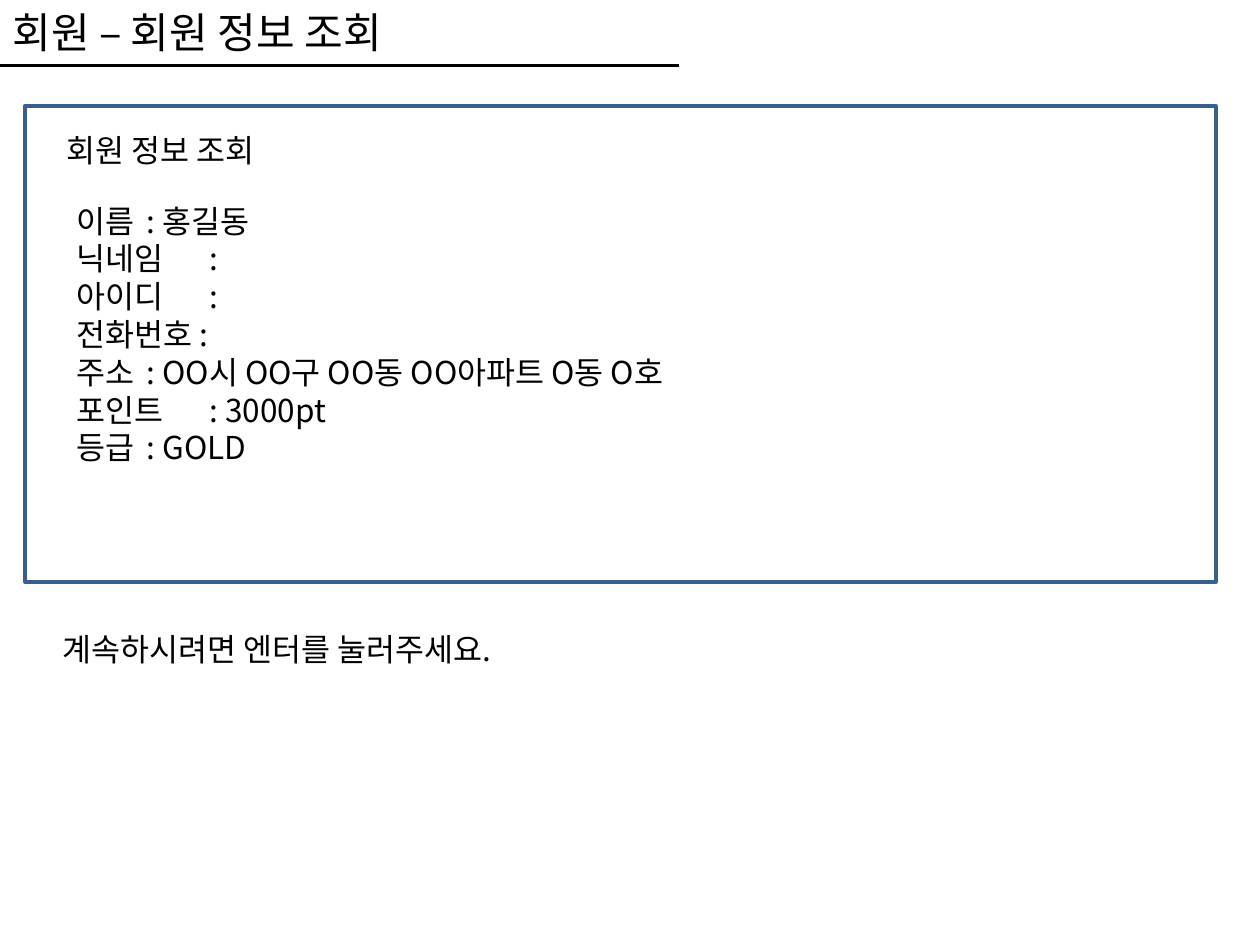
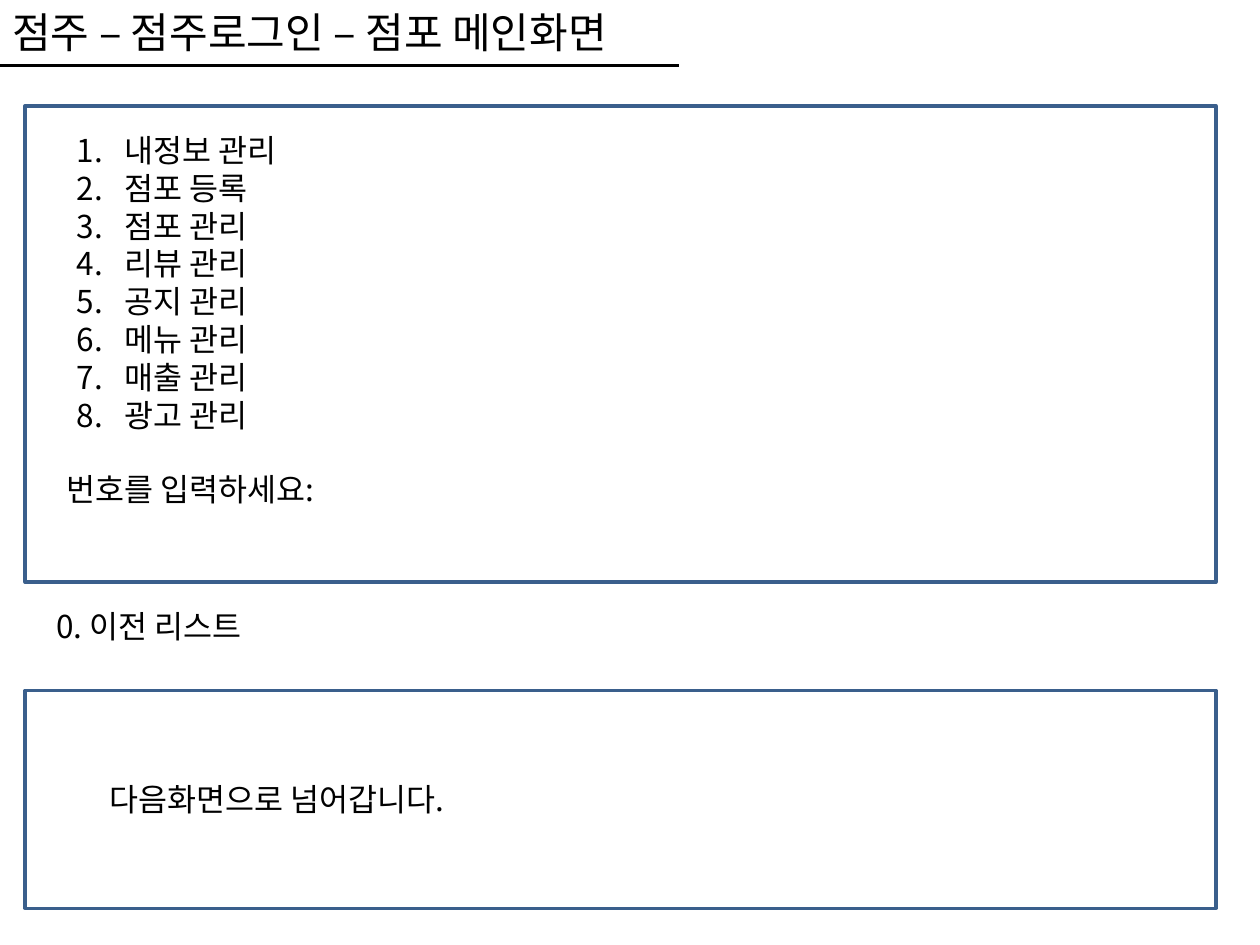
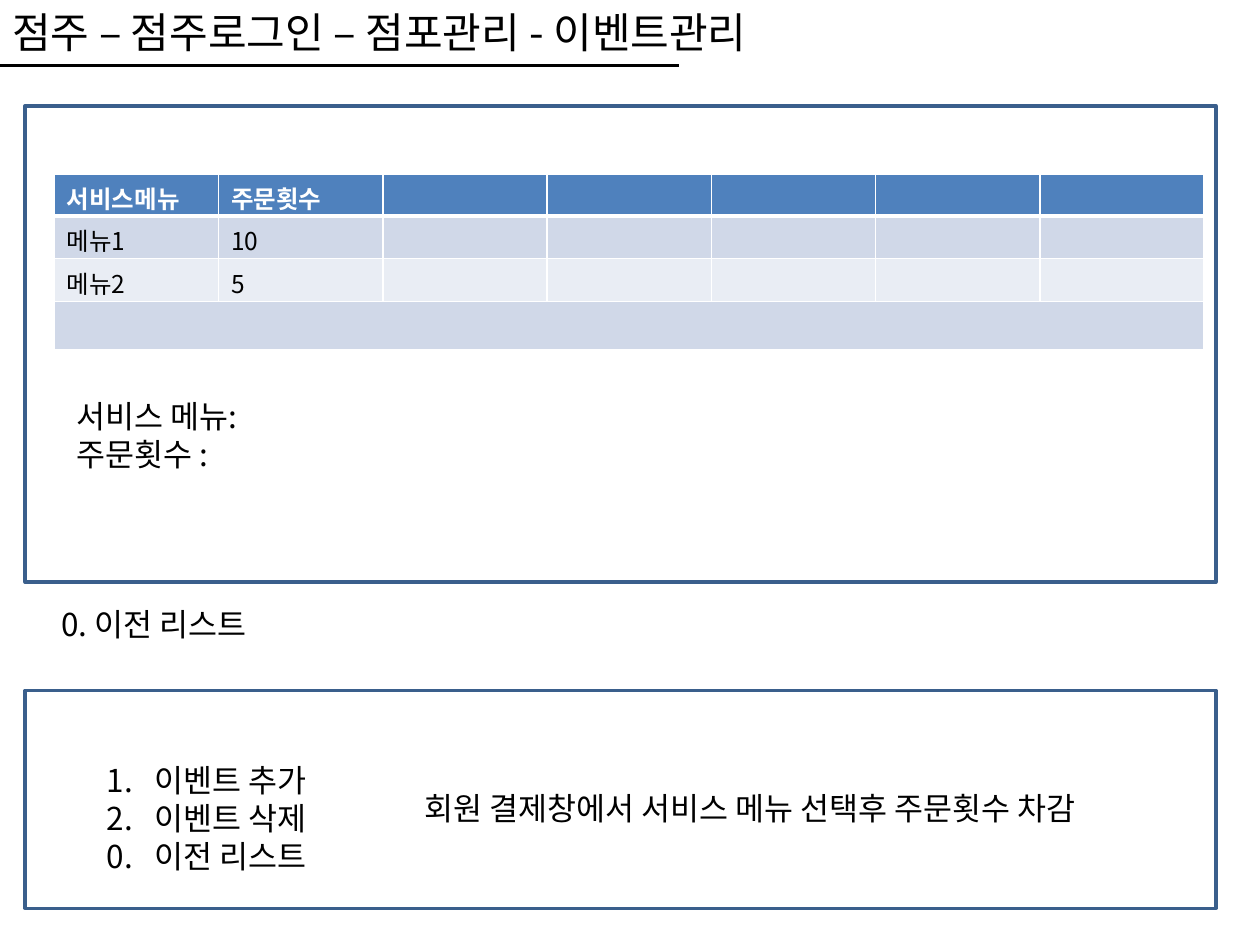
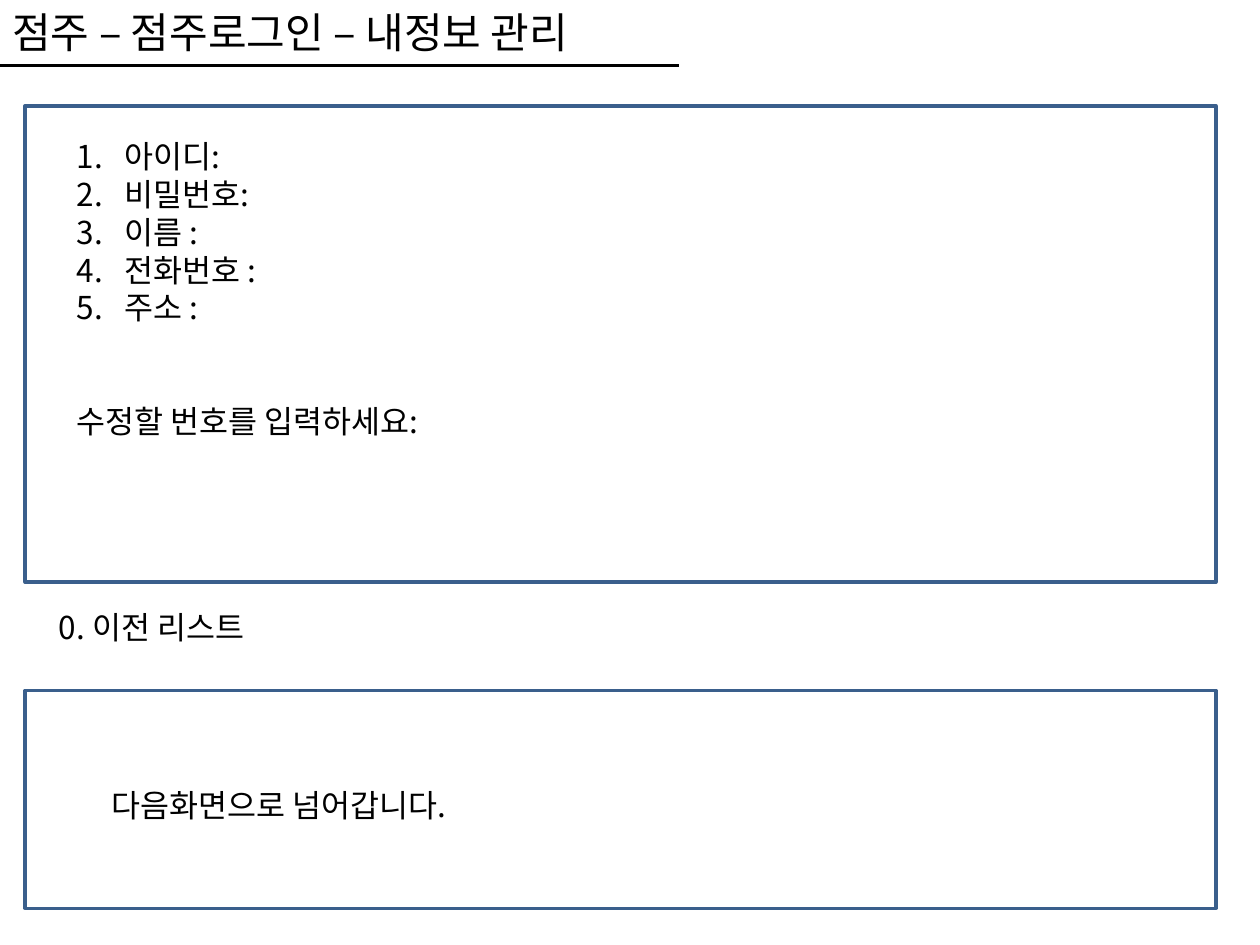
"""Build four console-screen slides for a member and shop-owner ordering service."""
from dataclasses import dataclass

from lxml.etree import SubElement
from pptx import Presentation
from pptx.dml.color import RGBColor as Rgb
from pptx.enum.shapes import MSO_CONNECTOR as Connector, MSO_SHAPE as Shape
from pptx.enum.text import MSO_AUTO_SIZE as AutoSize
from pptx.oxml.ns import qn
from pptx.util import Emu, Inches, Pt


@dataclass(frozen=True)
class Theme:
    font: str = "Noto Sans CJK KR"
    ink: str = "000000"
    paper: str = "FFFFFF"
    frame: str = "3A5F8C"
    header: str = "4F81BD"
    bands: tuple = ("D0D8E8", "E9EDF4")
    title: int = 24
    body: int = 18
    cell: int = 14
    frame_line: float = 2
    rule_line: float = 1.75
    grid_line: float = 1
    header_line: float = 3


THEME = Theme()
WIDTH, HEIGHT = Inches(10), Inches(7.5)
COLUMNS, ROWS = 100, 75
SCREEN = (2, 8.4, 94.5, 37.8)
ACTIONS = (2, 54.8, 94.5, 17.3)
RULE = (0, 5.2, 53.9, 5.2)
HANG = 3.8
QUESTION_GAP = 43.2
BACK = ["0. 이전 리스트"]
NEXT = ["다음화면으로 넘어갑니다."]


def numbered(*labels):
    return [("number", label) for label in labels]


SLIDES = [
    {
        "title": ("회원 – 회원 정보 조회", 79.9),
        "frames": [SCREEN],
        "texts": [
            ((4.3, 9.9, 37.8, 4), ["회원 정보 조회"]),
            ((5.1, 15.5, 75.6, 22.2), [
                "이름\t : 홍길동",
                "닉네임\t :",
                "아이디\t :",
                "전화번호 :",
                "주소\t : OO시 OO구 OO동 OO아파트 O동 O호",
                "포인트\t : 3000pt",
                "등급\t : GOLD",
            ]),
            ((4, 49.5, 39.7, 4), ["계속하시려면 엔터를 눌러주세요."]),
        ],
    },
    {
        "title": ("점주 – 점주로그인 – 점포 메인화면", 58.7),
        "frames": [SCREEN, ACTIONS],
        "texts": [
            ((5.1, 9.9, 37.8, 25.3), numbered(
                "내정보 관리", "점포 등록", "점포 관리", "리뷰 관리",
                "공지 관리", "메뉴 관리", "매출 관리", "광고 관리")),
            ((3.5, 47.7, 43.3, 4), BACK),
            ((7.7, 61.4, 43.3, 4), NEXT),
            ((4.3, 36.8, 48, 4), ["번호를 입력하세요:"]),
        ],
    },
    {
        "title": ("점주 – 점주로그인 – 점포관리 - 이벤트관리", 69.7),
        "frames": [SCREEN, ACTIONS],
        "texts": [
            ((3.9, 47.5, 43.3, 4), BACK),
            ((7.5, 59.9, 43.3, 10.1),
             numbered("이벤트 추가", "이벤트 삭제") + [("hang", "0.\t이전 리스트")]),
            ((5.1, 31, 44.1, 7.1), ["서비스 메뉴:", "주문횟수 :"]),
            ((32.7, 62.1, 62.2, 4), ["회원 결제창에서 서비스 메뉴 선택후 주문횟수 차감"]),
        ],
        "events": {
            "box": (4.3, 13.8, 91.3, 13.8),
            "columns": 7,
            "heights": (3.2, 3.4, 3.4, 3.8),
            "records": [("서비스메뉴", "주문횟수"), ("메뉴1", "10"), ("메뉴2", "5"), ()],
        },
    },
    {
        "title": ("점주 – 점주로그인 – 내정보 관리", 58.7),
        "frames": [SCREEN, ACTIONS],
        "texts": [
            ((5.1, 10.4, 37.8, 28.3),
             numbered("아이디:", "비밀번호:", "이름 :", "전화번호 :", "주소 :")
             + [("question", "수정할 번호를 입력하세요:")]),
            ((3.7, 47.8, 43.3, 4), BACK),
            ((7.9, 61.9, 43.3, 4), NEXT),
        ],
    },
]


def across(columns):
    return Emu(round(WIDTH * columns / COLUMNS))


def down(rows):
    return Emu(round(HEIGHT * rows / ROWS))


def place(box):
    return across(box[0]), down(box[1]), across(box[2]), down(box[3])


def apply(target, formats):
    for name, value in formats.items():
        setattr(target, name, value)


def paint(fill, color):
    fill.solid()
    fill.fore_color.rgb = Rgb.from_string(color)


def stroke(line, color, points):
    line.width = Pt(points)
    paint(line.fill, color)


def write(paragraph, words, size, color=THEME.ink, bold=False):
    run = paragraph.add_run()
    apply(run, {"text": words})
    apply(run.font, {"name": THEME.font, "size": Pt(size), "bold": bold})
    run.font.color.rgb = Rgb.from_string(color)
    SubElement(run.font._element, qn("a:ea"), typeface=THEME.font)


def style_line(paragraph, style):
    if style == "question":
        paragraph.space_before = Pt(QUESTION_GAP)
    if style in ("number", "hang"):
        props = paragraph._p.get_or_add_pPr()
        props.set("marL", str(across(HANG)))
        props.set("indent", str(-across(HANG)))
        if style == "number":
            SubElement(props, qn("a:buFont"), typeface="+mj-lt")
            SubElement(props, qn("a:buAutoNum"), type="arabicPeriod")


def add_text(slide, box, lines, size=THEME.body):
    frame = slide.shapes.add_textbox(*place(box)).text_frame
    apply(frame, {"word_wrap": True, "auto_size": AutoSize.SHAPE_TO_FIT_TEXT})
    for index, line in enumerate(lines):
        style, words = ("plain", line) if isinstance(line, str) else line
        paragraph = frame.add_paragraph() if index else frame.paragraphs[0]
        style_line(paragraph, style)
        write(paragraph, words, size)


def add_frame(slide, box):
    frame = slide.shapes.add_shape(Shape.RECTANGLE, *place(box))
    frame.shadow.inherit = False
    frame.fill.background()
    stroke(frame.line, THEME.frame, THEME.frame_line)


def add_rule(slide):
    rule = slide.shapes.add_connector(Connector.STRAIGHT, *place(RULE))
    stroke(rule.line, THEME.ink, THEME.rule_line)
    SubElement(rule._element.spPr, qn("a:effectLst"))


def add_borders(cell, row):
    props = cell._tc.get_or_add_tcPr()
    heavy = {0: "lnB", 1: "lnT"}.get(row)
    for side in ("lnL", "lnR", "lnT", "lnB"):
        points = THEME.header_line if side == heavy else THEME.grid_line
        border = SubElement(props, qn(f"a:{side}"), w=str(Pt(points)))
        fill = SubElement(border, qn("a:solidFill"))
        SubElement(fill, qn("a:srgbClr"), val=THEME.paper)


def add_events(slide, box, columns, heights, records):
    table = slide.shapes.add_table(len(records), columns, *place(box)).table
    for column in table.columns:
        column.width = across(box[2] / columns)
    for row, (height, record) in enumerate(zip(heights, records)):
        table.rows[row].height = down(height)
        heading = row == 0
        for column in range(columns):
            cell = table.cell(row, column)
            add_borders(cell, row)
            paint(cell.fill, THEME.header if heading else THEME.bands[(row - 1) % 2])
            paragraph = cell.text_frame.paragraphs[0]
            if column < len(record):
                write(paragraph, record[column], THEME.cell,
                      THEME.paper if heading else THEME.ink, heading)
            else:
                SubElement(paragraph._p, qn("a:endParaRPr"), sz=str(THEME.cell * 100))
    last = len(records) - 1
    table.cell(last, 0).merge(table.cell(last, columns - 1))


def build():
    deck = Presentation()
    apply(deck, {"slide_width": WIDTH, "slide_height": HEIGHT})
    for content in SLIDES:
        slide = deck.slides.add_slide(deck.slide_layouts[6])
        for box in content["frames"]:
            add_frame(slide, box)
        add_rule(slide)
        title, width = content["title"]
        add_text(slide, (0, 0, width, 5), [title], THEME.title)
        if "events" in content:
            add_events(slide, **content["events"])
        for box, lines in content["texts"]:
            add_text(slide, box, lines)
    deck.save("out.pptx")


build()
